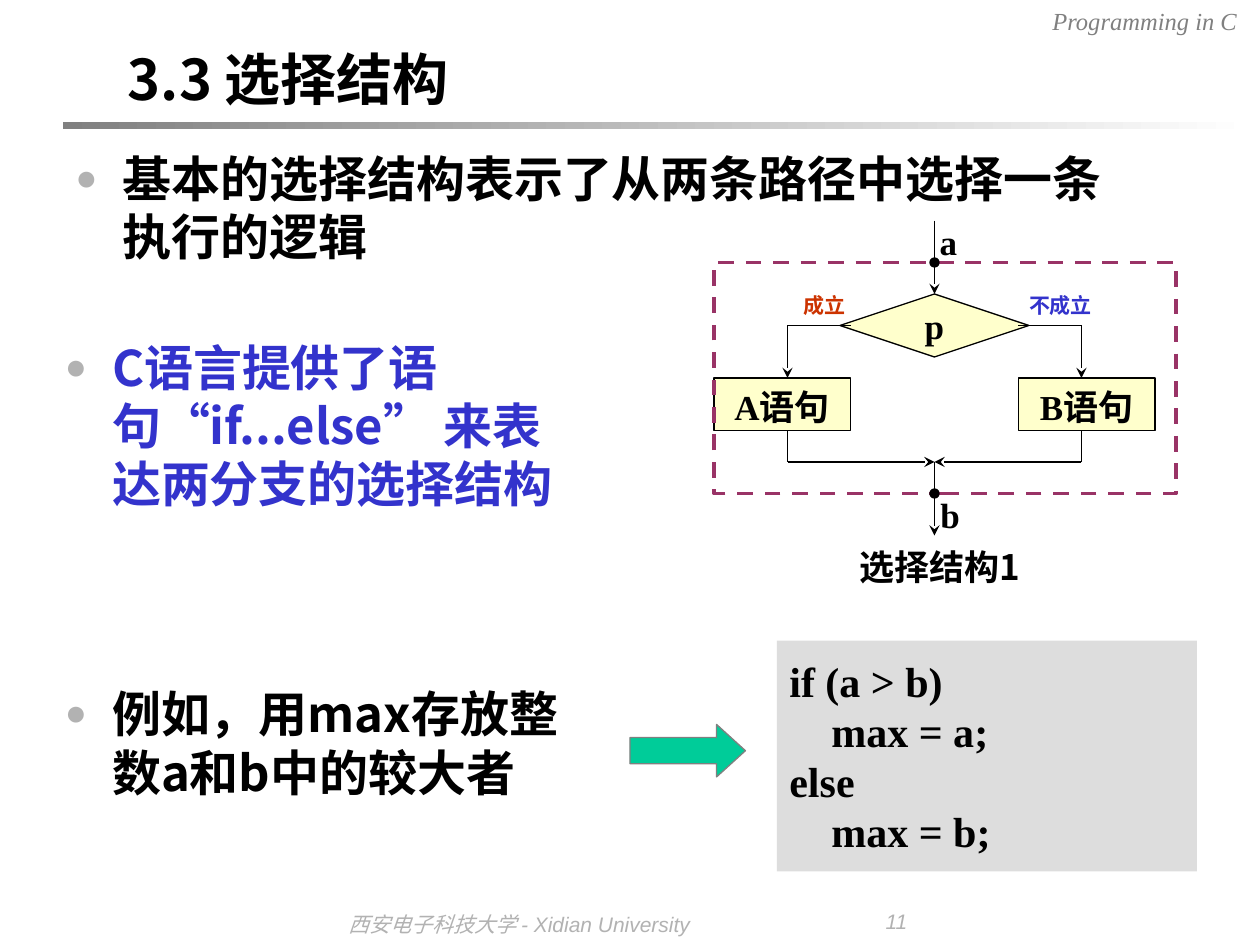
from dataclasses import dataclass

from lxml.etree import SubElement
from pptx import Presentation
from pptx.dml.color import RGBColor
from pptx.enum.dml import MSO_LINE_DASH_STYLE as Dash
from pptx.enum.shapes import MSO_CONNECTOR as Connector, MSO_SHAPE as Shape
from pptx.enum.text import MSO_ANCHOR as Anchor, PP_ALIGN as Align
from pptx.oxml.ns import qn
from pptx.util import Pt


@dataclass(frozen=True)
class Theme:
    """Colours, fonts and type sizes of the slide."""
    black: str = "000000"
    blue: str = "3333CC"
    red: str = "CC3300"
    plum: str = "993366"
    green: str = "00CC99"
    cream: str = "FFFFCC"
    panel: str = "DDDDDD"
    grey: str = "808080"
    pale: str = "B2B2B2"
    white: str = "FFFFFF"
    sans: str = "Noto Sans CJK SC"
    serif: str = "Times New Roman"
    plain: str = "Arial"
    title: float = 32
    body: float = 28
    code: float = 24
    flow: float = 20
    header: float = 14
    small: float = 12
    leading: float = 1.19
    drop: float = 0.125
    hairline: float = 0.75


THEME = Theme()


def rgb(value):
    """Return a colour object for a hex string."""
    return RGBColor.from_string(value)


def style_run(run, font, size, color, bold, italic):
    """Format one run, with the sans face for Chinese characters."""
    run.font.name, run.font.size = font, Pt(size)
    run.font.bold, run.font.italic = bold, italic
    run.font.color.rgb = rgb(color)
    SubElement(run.font._element, qn("a:ea"), typeface=THEME.sans)


def write(shape, text, size, font=THEME.serif, color=THEME.black, bold=True,
          italic=False, align=Align.CENTER, anchor=Anchor.TOP,
          insets=(7.2, 3.6), wrap=True):
    """Put text, or (text, font) pieces of one paragraph, into a shape."""
    frame = shape.text_frame
    pieces = [(text, font)] if isinstance(text, str) else text
    words = "".join(piece for piece, _ in pieces)
    frame.word_wrap, frame.vertical_anchor = wrap, anchor
    frame.margin_left = frame.margin_right = Pt(insets[0])
    frame.margin_bottom = Pt(insets[1])
    frame.margin_top = Pt(insets[1] + (0 if words.isascii() else THEME.drop * size))
    if isinstance(text, str):
        frame.text = text
    else:
        for piece, _ in pieces:
            frame.paragraphs[0].add_run().text = piece
    for paragraph in frame.paragraphs:
        paragraph.alignment = align
        paragraph.line_spacing = Pt(round(THEME.leading * size, 1))
        for index, run in enumerate(paragraph.runs):
            style_run(run, pieces[index][1], size, color, bold, italic)


def add_text(slide, box, text, size, **style):
    """Add a text box."""
    shape = slide.shapes.add_textbox(*map(Pt, box))
    write(shape, text, size, **style)
    return shape


def add_bullet(slide, box, text, color=THEME.black):
    """Add a text box holding one bulleted paragraph."""
    shape = add_text(slide, box, text, THEME.body, font=THEME.sans,
                     color=color, align=Align.LEFT)
    properties = shape.text_frame.paragraphs[0]._p.get_or_add_pPr()
    properties.set("marL", str(Pt(27)))
    properties.set("indent", str(Pt(-27)))
    SubElement(SubElement(properties, qn("a:buClr")), qn("a:srgbClr"), val=THEME.pale)
    SubElement(properties, qn("a:buSzPct"), val="75000")
    SubElement(properties, qn("a:buFont"), typeface=THEME.serif)
    SubElement(properties, qn("a:buChar"), char="●")


def add_block(slide, kind, box, fill=None, line=None, width=THEME.hairline):
    """Add a preset shape with an optional fill and outline."""
    shape = slide.shapes.add_shape(kind, *map(Pt, box))
    shape.shadow.inherit = False
    if fill:
        shape.fill.solid()
        shape.fill.fore_color.rgb = rgb(fill)
    else:
        shape.fill.background()
    if line:
        shape.line.color.rgb = rgb(line)
        shape.line.width = Pt(width)
    else:
        shape.line.fill.background()
    return shape


def add_line(slide, start, end, tip=None):
    """Add a thin straight line with an optional tip at its end."""
    line = slide.shapes.add_connector(Connector.STRAIGHT, *map(Pt, start + end))
    line.line.color.rgb = rgb(THEME.black)
    line.line.width = Pt(THEME.hairline)
    if tip:
        SubElement(line.line._get_or_add_ln(), qn("a:tailEnd"), type=tip)
    SubElement(line._element.spPr, qn("a:effectLst"))


def add_frame(slide):
    """Add the header, rule, title and footer."""
    add_text(slide, (492, 0, 222, 24), "Programming in C", THEME.header,
             color=THEME.grey, bold=False, italic=True, align=Align.RIGHT)
    rule = add_block(slide, Shape.RECTANGLE, (36, 70, 680, 3.6), THEME.grey)
    rule.fill.gradient()
    rule.fill.gradient_angle = 0
    for stop, color in zip(rule.fill.gradient_stops, (THEME.grey, THEME.white)):
        stop.color.rgb = rgb(color)
    for stop, position in zip(rule.fill.gradient_stops, (0, 1)):
        stop.position = position
    add_text(slide, (66, 18, 612, 48), "3.3 选择结构", THEME.title,
             font=THEME.sans, align=Align.LEFT)
    footer = dict(color=THEME.pale, bold=False, italic=True, align=Align.LEFT)
    school = [("西安电子科技大学 ", THEME.serif), ("- Xidian University", THEME.plain)]
    add_text(slide, (192, 516, 260, 24), school, THEME.small, **footer)
    add_text(slide, (499, 516, 50, 24), "11", THEME.small, font=THEME.plain, **footer)


def add_branch(slide, center, side, label):
    """Add one branch of the flowchart, left (-1) or right (1) of the centre."""
    x = center + side * 84
    box = add_block(slide, Shape.RECTANGLE, (center + side * 87 - 39, 216, 78, 30),
                    THEME.cream, THEME.black)
    write(box, label, THEME.flow, anchor=Anchor.MIDDLE, wrap=False)
    add_line(slide, (center + side * 48, 186), (x, 186))
    add_line(slide, (x, 186), (x, 216), "stealth")
    add_line(slide, (x, 246), (x, 264))
    add_line(slide, (x, 264), (center, 264), "stealth")


def add_flowchart(slide, center):
    """Add the two-way selection flowchart."""
    decision = add_block(slide, Shape.DIAMOND, (center - 54, 168, 108, 36),
                         THEME.cream, THEME.black)
    write(decision, "p", THEME.flow, anchor=Anchor.MIDDLE, wrap=False)
    add_branch(slide, center, -1, "A语句")
    add_branch(slide, center, 1, "B语句")
    border = add_block(slide, Shape.RECTANGLE, (408, 150, 264, 132),
                       line=THEME.plum, width=2.25)
    border.line.dash_style = Dash.DASH
    for top, bottom, tip in ((126, 150, "oval"), (150, 168, "stealth"),
                             (264, 282, "oval"), (282, 306, "stealth")):
        add_line(slide, (center, top), (center, bottom), tip)
    for left, width, text, color in ((456, 30, "成立", THEME.red),
                                     (582, 48, "不成立", THEME.blue)):
        add_text(slide, (left, 162, width, 22), text, THEME.small,
                 color=color, insets=(0, 3.6))
    for left, top, width, text in ((530, 126, 24, "a"), (534, 282, 18, "b")):
        add_text(slide, (left, top, width, 24), text, THEME.flow, insets=(0, 0))
    add_text(slide, (456, 306, 162, 32), "选择结构1", THEME.flow, font=THEME.sans)


def main():
    """Build and save the slide."""
    presentation = Presentation()
    presentation.slide_width, presentation.slide_height = Pt(720), Pt(540)
    slide = presentation.slides.add_slide(presentation.slide_layouts[6])
    add_frame(slide)
    add_bullet(slide, (36, 78, 624, 96), "基本的选择结构表示了从两条路径中选择一条执行的逻辑")
    add_flowchart(slide, 534)
    statement = [("C语言提供了语句", THEME.sans), ("“", THEME.serif),
                 ("if...else", THEME.sans), ("” ", THEME.serif),
                 ("来表达两分支的选择结构", THEME.sans)]
    add_bullet(slide, (30, 186, 294, 174), statement, THEME.blue)
    code = add_block(slide, Shape.RECTANGLE, (444, 366, 240, 132), THEME.panel)
    write(code, "if (a > b)\n    max = a;\nelse\n    max = b;", THEME.code,
          align=Align.LEFT, anchor=Anchor.MIDDLE)
    add_bullet(slide, (30, 384, 324, 96), "例如，用max存放整数a和b中的较大者")
    arrow = add_block(slide, Shape.RIGHT_ARROW, (360, 414, 66, 30),
                      THEME.green, THEME.grey)
    arrow.adjustments[1] = 0.55
    presentation.save("out.pptx")


if __name__ == "__main__":
    main()
